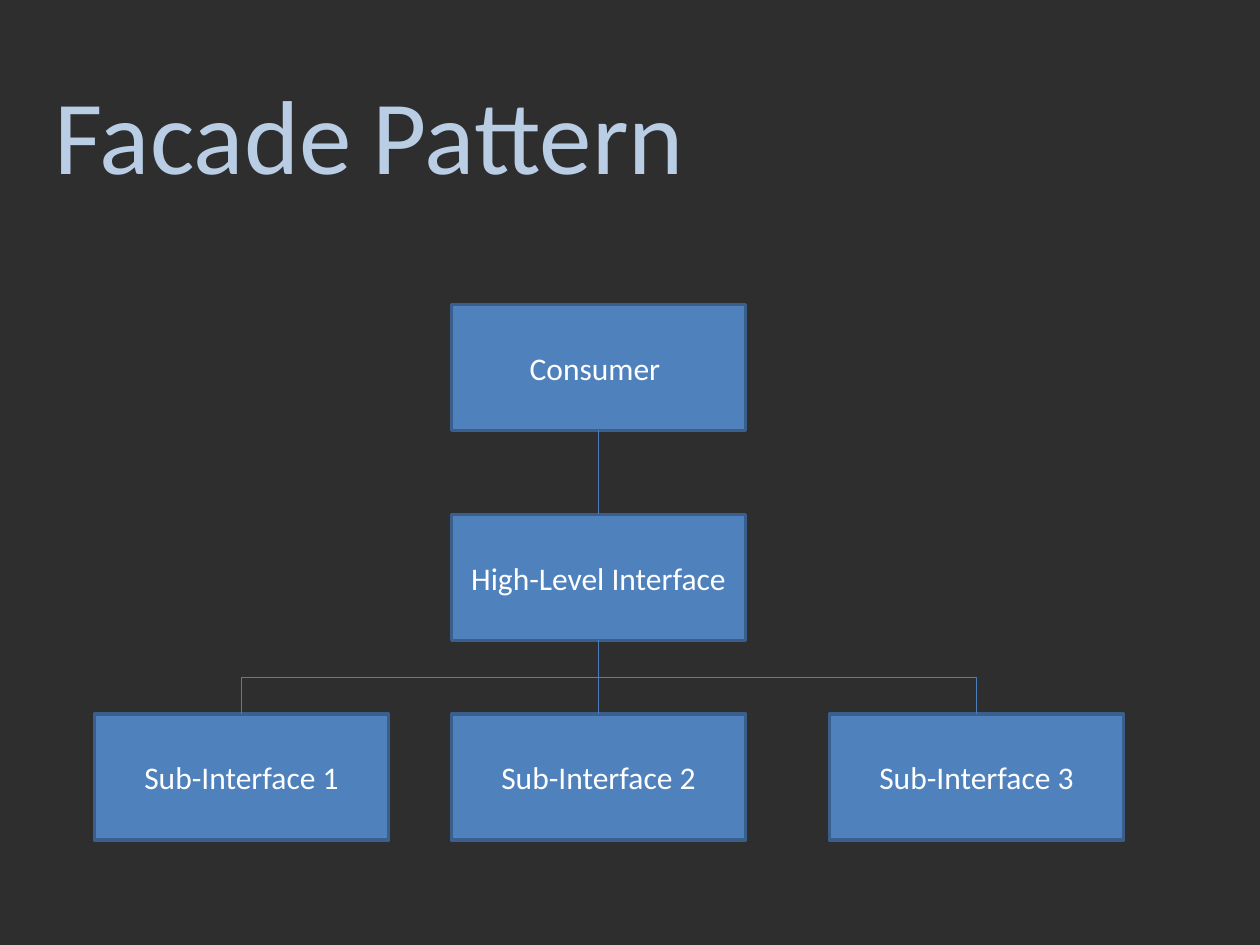
from lxml import etree
from pptx import Presentation
from pptx.dml.color import RGBColor
from pptx.enum import shapes, text
from pptx.oxml.ns import qn
from pptx.util import Pt

BACKGROUND = RGBColor(0x2E, 0x2E, 0x2E)
TITLE = RGBColor(0xB9, 0xCD, 0xE5)
BOX = RGBColor(0x4F, 0x81, 0xBD)
BORDER = RGBColor(0x3A, 0x5F, 0x8C)
LINK = RGBColor(0x4B, 0x7E, 0xBC)
WHITE = RGBColor(0xFF, 0xFF, 0xFF)

BOX_W, BOX_H = 168, 72
LEFT, MIDDLE, RIGHT = 54, 258, 474
BOTTOM_SITE, TOP_SITE = 2, 0


def write(tf, runs, color, align, anchor):
    """Fill a text frame with (text, size) runs in one paragraph."""
    tf.word_wrap = True
    tf.auto_size = text.MSO_AUTO_SIZE.NONE
    tf.vertical_anchor = anchor
    p = tf.paragraphs[0]
    p.alignment = align
    for words, size in runs:
        r = p.add_run()
        r.text = words
        r.font.name = "Calibri"
        r.font.size = Pt(size)
        r.font.color.rgb = color


def add_title(s):
    sp = s.shapes.title
    sp.left, sp.top, sp.width, sp.height = Pt(24), Pt(36), Pt(648), Pt(80)
    write(sp.text_frame, [("Facade", 60), (" ", 54), ("Pattern", 60)], TITLE,
          text.PP_ALIGN.LEFT, text.MSO_ANCHOR.TOP)


def add_box(s, label, x, y):
    sp = s.shapes.add_shape(shapes.MSO_SHAPE.RECTANGLE,
                            Pt(x), Pt(y), Pt(BOX_W), Pt(BOX_H))
    sp.shadow.inherit = False
    sp.fill.solid()
    sp.fill.fore_color.rgb = BOX
    sp.line.color.rgb = BORDER
    sp.line.width = Pt(2)
    write(sp.text_frame, [(label, 18)], WHITE,
          text.PP_ALIGN.CENTER, text.MSO_ANCHOR.MIDDLE)
    return sp


def add_link(s, upper, lower, kind):
    """Join the bottom of one box to the top of another."""
    cx = s.shapes.add_connector(kind, 0, 0, 0, 0)
    cx.begin_connect(upper, BOTTOM_SITE)
    cx.end_connect(lower, TOP_SITE)
    cx.line.color.rgb = LINK
    cx.line.width = Pt(0.75)
    etree.SubElement(cx._element.spPr, qn("a:effectLst"))
    return cx


def add_elbow(s, upper, lower):
    """Elbow link turned a quarter so that it leaves downwards."""
    cx = add_link(s, upper, lower, shapes.MSO_CONNECTOR.ELBOW)
    dx, dy = cx.end_x - cx.begin_x, cx.end_y - cx.begin_y
    mid_x, mid_y = (cx.begin_x + cx.end_x) // 2, (cx.begin_y + cx.end_y) // 2
    cx.width, cx.height = dy, abs(dx)
    cx.left, cx.top = mid_x - dy // 2, mid_y - abs(dx) // 2
    xfrm = cx._element.spPr.find(qn("a:xfrm"))
    xfrm.set("rot", str((270 if dx > 0 else 90) * 60000))
    xfrm.set("flipH", "1" if dx > 0 else "0")


def main():
    prs = Presentation()
    prs.slide_width, prs.slide_height = Pt(720), Pt(540)
    s = prs.slides.add_slide(prs.slide_layouts[5])
    s.background.fill.solid()
    s.background.fill.fore_color.rgb = BACKGROUND
    add_title(s)

    # Boxes
    subs = [add_box(s, f"Sub-Interface {i}", x, 408)
            for i, x in enumerate((LEFT, MIDDLE, RIGHT), 1)]
    facade = add_box(s, "High-Level Interface", MIDDLE, 294)
    consumer = add_box(s, "Consumer ", MIDDLE, 174)

    # Links
    for sub in subs:
        add_elbow(s, facade, sub)
    add_link(s, consumer, facade, shapes.MSO_CONNECTOR.STRAIGHT)

    prs.save("out.pptx")


if __name__ == "__main__":
    main()
